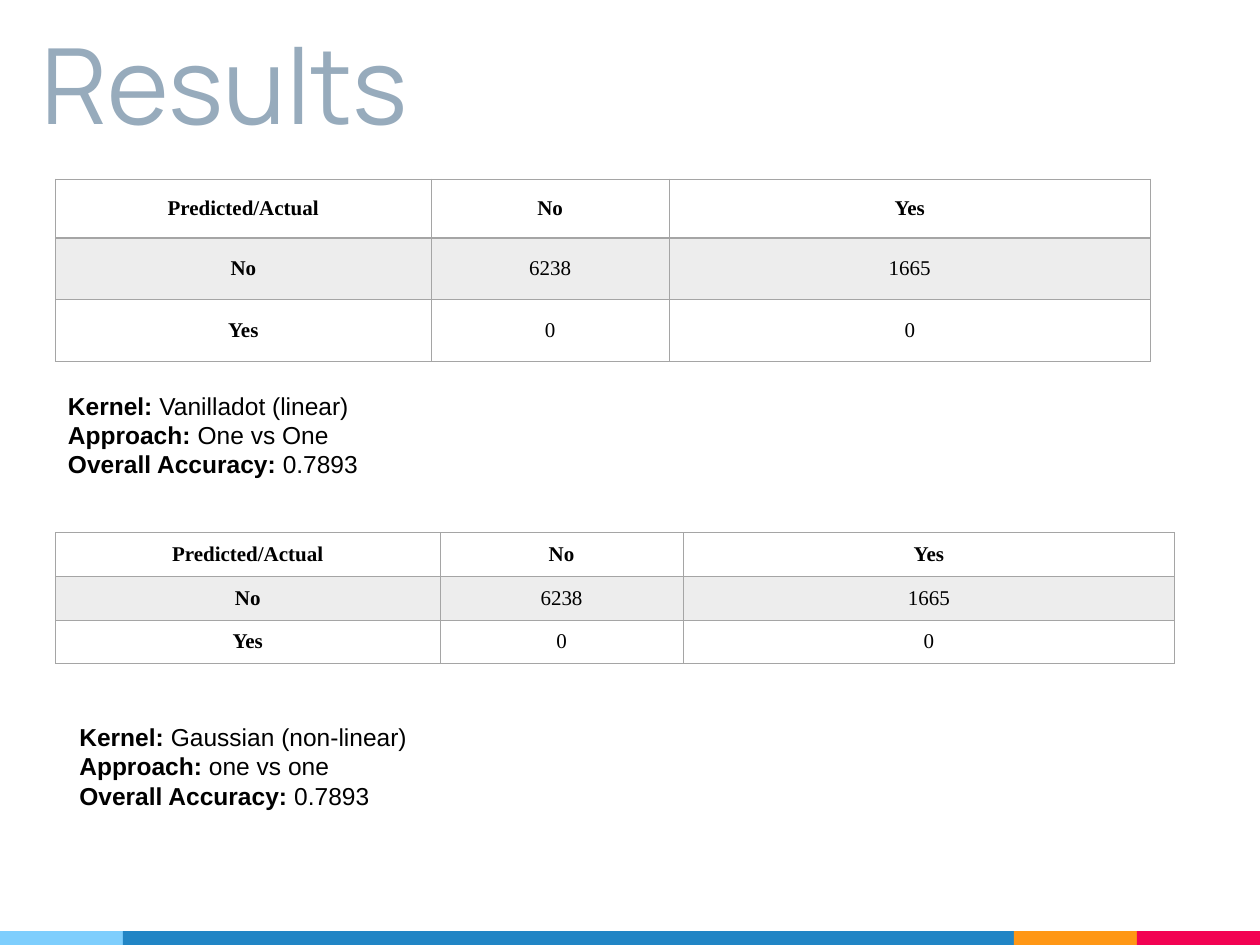
from lxml.etree import SubElement
from pptx import Presentation
from pptx.dml.color import RGBColor
from pptx.enum.shapes import MSO_SHAPE
from pptx.enum.text import MSO_ANCHOR as Anchor, PP_ALIGN as Align
from pptx.oxml.ns import qn
from pptx.util import Cm, Pt

COLORS = {
    "title": "97ABBC", "text": "000000", "band": "EDEDED", "border": "A5A5A5",
    "sky": "7ECEFD", "blue": "2185C5", "orange": "FF9715", "red": "F20253",
}
SLIDE_WIDTH, SLIDE_HEIGHT = 25.4, 19.05
BAR_HEIGHT = 0.28
BARS = [("sky", 2.48), ("blue", 17.96), ("orange", 2.48), ("red", 2.48)]

CONFUSION = [
    ("Predicted/Actual", "No", "Yes"),
    ("No", "6238", "1665"),
    ("Yes", "0", "0"),
]
RESULTS = [
    {
        "table_at": (1.12, 3.61),
        "columns": (7.57, 4.8, 9.7),
        "rows": (1.19, 1.24, 1.24),
        "notes_box": (1.12, 7.75, 14.94, 2.06),
        "notes": [("Kernel:", "Vanilladot (linear)"), ("Approach:", "One vs One"),
                  ("Overall Accuracy:", "0.7893")],
    },
    {
        "table_at": (1.12, 10.74),
        "columns": (7.75, 4.9, 9.91),
        "rows": (0.88, 0.88, 0.88),
        "notes_box": (1.35, 14.43, 10.08, 2.06),
        "notes": [("Kernel:", "Gaussian (non-linear)"), ("Approach:", "one vs one"),
                  ("Overall Accuracy:", "0.7893")],
    },
]


def color(name):
    return RGBColor.from_string(COLORS[name])


def format_run(run, font_name, size, color_name="text", bold=False):
    run.font.name = font_name
    run.font.size = Pt(size)
    run.font.bold = bold
    run.font.color.rgb = color(color_name)


def add_text_box(slide, box):
    text_frame = slide.shapes.add_textbox(*map(Cm, box)).text_frame
    text_frame.word_wrap = True
    return text_frame


def add_title(slide, text):
    text_frame = add_text_box(slide, (0.58, 0, 21.18, 3.18))
    text_frame.vertical_anchor = Anchor.BOTTOM
    text_frame.margin_top = text_frame.margin_bottom = Cm(0.25)
    text_frame.text = text
    format_run(text_frame.paragraphs[0].runs[0], "Manrope", 60, "title")


def add_bars(slide):
    left = 0
    for name, width in BARS:
        bar = slide.shapes.add_shape(
            MSO_SHAPE.RECTANGLE, Cm(left), Cm(SLIDE_HEIGHT - BAR_HEIGHT),
            Cm(width), Cm(BAR_HEIGHT))
        bar.shadow.inherit = False
        bar.fill.solid()
        bar.fill.fore_color.rgb = color(name)
        bar.line.fill.background()
        left += width


def set_borders(cell, widths):
    properties = cell._tc.get_or_add_tcPr()
    for position, (side, width) in enumerate(widths.items()):
        line = SubElement(properties, qn(f"a:{side}"), w=str(Pt(width)))
        fill = SubElement(line, qn("a:solidFill"))
        SubElement(fill, qn("a:srgbClr"), val=COLORS["border"])
        properties.insert(position, line)


def format_cell(cell, text, row, column):
    cell.text = text
    cell.vertical_anchor = Anchor.MIDDLE
    cell.margin_left = cell.margin_right = Cm(0.18)
    cell.margin_top = cell.margin_bottom = Cm(0.18)
    paragraph = cell.text_frame.paragraphs[0]
    paragraph.alignment = Align.CENTER
    format_run(paragraph.runs[0], "Times New Roman", 12, bold=row == 0 or column == 0)
    if row == 1:
        cell.fill.solid()
        cell.fill.fore_color.rgb = color("band")
    else:
        cell.fill.background()
    set_borders(cell, {"lnL": 0.5, "lnR": 0.5, "lnT": 1 if row == 1 else 0.5,
                       "lnB": 1 if row == 0 else 0.5})


def add_confusion_table(slide, position, columns, rows):
    size = sum(columns), sum(rows)
    table = slide.shapes.add_table(
        len(rows), len(columns), *map(Cm, position + size)).table
    for column, width in zip(table.columns, columns):
        column.width = Cm(width)
    for row, height in zip(table.rows, rows):
        row.height = Cm(height)
    for row, texts in enumerate(CONFUSION):
        for column, text in enumerate(texts):
            format_cell(table.cell(row, column), text, row, column)


def add_notes(slide, box, notes):
    text_frame = add_text_box(slide, box)
    for index, (label, value) in enumerate(notes):
        paragraph = text_frame.add_paragraph() if index else text_frame.paragraphs[0]
        for text, bold in ((f"{label} ", True), (value, False)):
            run = paragraph.add_run()
            run.text = text
            format_run(run, "Arial", 14, bold=bold)


def main():
    presentation = Presentation()
    presentation.slide_width = Cm(SLIDE_WIDTH)
    presentation.slide_height = Cm(SLIDE_HEIGHT)
    slide = presentation.slides.add_slide(presentation.slide_layouts[6])
    add_bars(slide)
    add_title(slide, "Results")
    for result in RESULTS:
        add_confusion_table(slide, result["table_at"], result["columns"], result["rows"])
        add_notes(slide, result["notes_box"], result["notes"])
    presentation.save("out.pptx")


if __name__ == "__main__":
    main()
